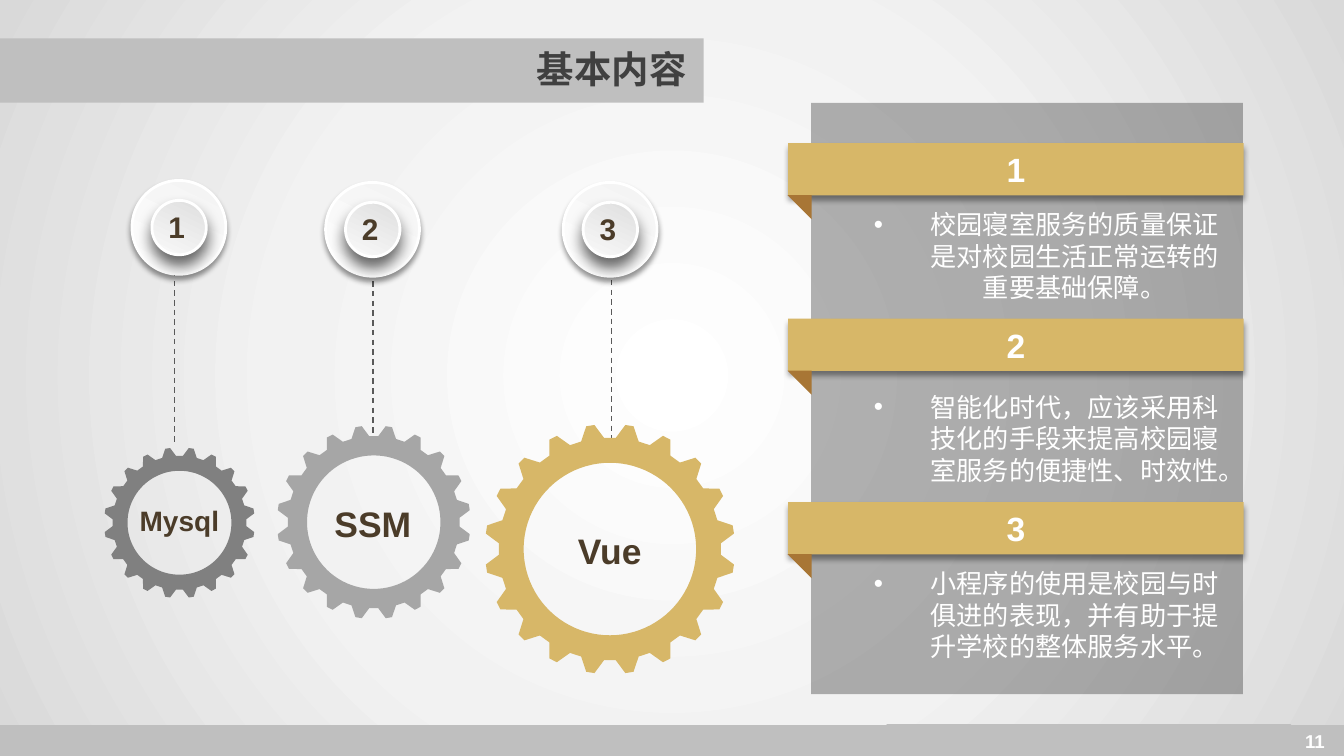
import math
from dataclasses import dataclass

from lxml import etree
from pptx import Presentation
from pptx import util as u
from pptx.dml.color import RGBColor
from pptx.enum import dml, shapes, text
from pptx.oxml import ns

WHITE = RGBColor(0xFF, 0xFF, 0xFF)
PALE = RGBColor(0xF2, 0xF2, 0xF2)
MIST = RGBColor(0xD9, 0xD9, 0xD9)
SILVER = RGBColor(0xBF, 0xBF, 0xBF)
ASH = RGBColor(0xA6, 0xA6, 0xA6)
GREY = RGBColor(0x80, 0x80, 0x80)
SLATE = RGBColor(0x59, 0x59, 0x59)
INK = RGBColor(0x40, 0x40, 0x40)
COAL = RGBColor(0x26, 0x26, 0x26)
BLACK = RGBColor(0, 0, 0)
GOLD = RGBColor(0xD7, 0xB7, 0x68)
BRONZE = RGBColor(0xA8, 0x76, 0x35)
BROWN = RGBColor(0x4B, 0x3C, 0x29)

LATIN = "Arial"
HAN = "Noto Sans CJK SC"
KIND = shapes.MSO_SHAPE
ALIGN = text.PP_ALIGN
TEETH = 20
SLIM = (7.2, 3.6)
WIDE = (13, 6.5)


@dataclass
class Box:
    x: float
    y: float
    w: float
    h: float


@dataclass
class Style:
    size: float
    color: RGBColor
    bold: bool = True
    face: str = LATIN
    align: ALIGN = ALIGN.CENTER


@dataclass
class Gear:
    x: float
    y: float
    r: float
    color: RGBColor
    word: str
    label: Box
    size: float


@dataclass
class Badge:
    x: float
    y: float
    stem: float
    top: float


@dataclass
class Point:
    y: float
    note_y: float
    note: str


GEARS = [
    Gear(128.2, 373.4, 53.8, GREY, "Mysql", Box(82.8, 352.8, 90.7, 37.4), 20),
    Gear(267, 373, 69.1, ASH, "SSM", Box(221, 352.1, 90.7, 43.9), 25.3),
    Gear(435.7, 392.2, 89.3, GOLD, "Vue", Box(390.2, 371.5, 90.7, 43.9), 25.3),
]
BADGES = [
    Badge(94.3, 128.9, 124.6, 186.5),
    Badge(232.6, 130.3, 266.4, 187),
    Badge(402.3, 130.3, 437, 186),
]
POINTS = [
    Point(102.2, 142.6, "校园寝室服务的质量保证是对校园生活正常运转的重要基础保障。"),
    Point(227.5, 272.9, "智能化时代，应该采用科技化的手段来提高校园寝室服务的便捷性、时效性。"),
    Point(358.6, 398.9, "小程序的使用是校园与时俱进的表现，并有助于提升学校的整体服务水平。"),
]

deck = Presentation()
deck.slide_width, deck.slide_height = u.Pt(960), u.Pt(540)
slide = deck.slides.add_slide(deck.slide_layouts[6])


def sub(node, tag: str, **attrs):
    return etree.SubElement(node, ns.qn(tag), {k: str(v) for k, v in attrs.items()})


def place(box: Box) -> tuple:
    return u.Pt(box.x), u.Pt(box.y), u.Pt(box.w), u.Pt(box.h)


def plain(shape, color: RGBColor) -> None:
    shape.fill.solid()
    shape.fill.fore_color.rgb = color
    shape.line.fill.background()
    shape.shadow.inherit = False


def draw(kind: KIND, box: Box, color: RGBColor):
    shape = slide.shapes.add_shape(kind, *place(box))
    plain(shape, color)
    return shape


def edge(shape, color: RGBColor) -> None:
    shape.line.color.rgb = color
    shape.line.width = u.Pt(2)


def blend(shape, stops: list[tuple[int, RGBColor]], radial: bool = False) -> None:
    shape.fill.gradient()
    grad = shape.fill._xPr.find(ns.qn("a:gradFill"))
    for node in list(grad):
        grad.remove(node)
    grad.set("rotWithShape", "1")
    bank = sub(grad, "a:gsLst")
    for spot, color in stops:
        sub(sub(bank, "a:gs", pos=spot * 1000), "a:srgbClr", val=color)
    if radial:
        sides = dict.fromkeys("ltrb", 50000)
        sub(sub(grad, "a:path", path="circle"), "a:fillToRect", **sides)
    else:
        sub(grad, "a:lin", ang=5400000, scaled=0)


def shade(shape, alpha: int, blur: float, dist: float) -> None:
    drop = sub(shape._element.spPr.find(ns.qn("a:effectLst")), "a:outerShdw",
               blurRad=u.Pt(blur), dist=u.Pt(dist), dir=5400000, algn="t", rotWithShape=0)
    sub(sub(drop, "a:srgbClr", val=BLACK), "a:alpha", val=alpha * 1000)


def write(frame, words: str, style: Style, bullet: bool = False) -> None:
    para = frame.paragraphs[0]
    para.text = words
    para.alignment = style.align
    props = para._p.get_or_add_pPr()
    if bullet:
        props.set("marL", str(u.Pt(40.3)))
        props.set("indent", str(u.Pt(-40.3)))
        sub(props, "a:buFont", typeface=LATIN)
        sub(props, "a:buChar", char="•")
    font = para.font
    font.size, font.bold, font.name = u.Pt(style.size), style.bold, style.face
    font.color.rgb = style.color
    sub(props.find(ns.qn("a:defRPr")), "a:ea", typeface=HAN)


def label(box: Box, words: str, style: Style, pad: tuple = WIDE, wrap: bool = True,
          bullet: bool = False, grow: bool = True):
    frame = slide.shapes.add_textbox(*place(box)).text_frame
    frame.word_wrap = wrap
    frame.margin_left = frame.margin_right = u.Pt(pad[0])
    frame.margin_top = frame.margin_bottom = u.Pt(pad[1])
    if grow:
        frame.auto_size = text.MSO_AUTO_SIZE.SHAPE_TO_FIT_TEXT
    write(frame, words, style, bullet)
    return frame


def spot(gear: Gear, turn: float, ratio: float) -> tuple[int, int]:
    a = math.radians(turn)
    r = gear.r * ratio
    return u.Pt(gear.x + r * math.sin(a)), u.Pt(gear.y - r * math.cos(a))


def draw_gear(gear: Gear) -> None:
    step = 360 / TEETH
    tooth = [(-3, 0.89), (3, 0.89), (7.1, 1), (10.9, 1)]
    rim = [spot(gear, k * step + a, r) for k in range(TEETH) for a, r in tooth]
    hole = [spot(gear, a, 0.69) for a in range(0, 360, 4)]
    path = slide.shapes.build_freeform(*rim[0])
    path.add_line_segments(rim[1:])
    path.move_to(*hole[0])
    path.add_line_segments(hole[1:])
    plain(path.convert_to_shape(), gear.color)
    label(gear.label, gear.word, Style(gear.size, BROWN))


def draw_stem(badge: Badge) -> None:
    x, y = u.Pt(badge.stem), u.Pt(badge.top)
    stem = slide.shapes.add_connector(shapes.MSO_CONNECTOR.STRAIGHT, x, y, x, y + u.Pt(129.6))
    stem.line.color.rgb = SLATE
    stem.line.width = u.Pt(1)
    stem.line.dash_style = dml.MSO_LINE.DASH
    sub(stem._element.spPr, "a:effectLst")


def draw_badge(badge: Badge, num: int) -> None:
    rings = [(0, 67, PALE, (40, 4, 3)), (14.2, 38.9, MIST, (60, 11, 7))]
    for inset, size, tone, cast in rings:
        ring = draw(KIND.OVAL, Box(badge.x + inset, badge.y + inset, size, size), tone)
        ring.rotation = 25.7
        blend(ring, [(0, tone), (100, WHITE)])
        edge(ring, WHITE)
        shade(ring, *cast)
    label(Box(badge.x + 18.9, badge.y + 16.6, 26.6, 33.1), str(num),
          Style(21.3, BROWN, align=ALIGN.LEFT), SLIM, wrap=False)


def draw_point(point: Point, num: int) -> None:
    band = draw(KIND.RECTANGLE, Box(563, point.y, 325.4, 37.4), GOLD)
    shade(band, 40, 4, 3)
    band.text_frame.vertical_anchor = text.MSO_ANCHOR.MIDDLE
    write(band.text_frame, str(num), Style(24, WHITE))
    draw(KIND.RIGHT_TRIANGLE, Box(562.5, point.y + 37.2, 17.2, 17.2), BRONZE).rotation = 180
    label(Box(607, point.note_y, 280.8, 80.6), point.note,
          Style(18.7, WHITE, False, HAN), bullet=True)


def main() -> None:
    back = draw(KIND.RECTANGLE, Box(0, -3.6, 960, 543.6), WHITE)
    blend(back, [(0, WHITE), (51, PALE), (100, MIST)], radial=True)
    for bar in (Box(0, 27.4, 502.6, 46), Box(0, 518, 653.8, 22), Box(918.7, 518, 41.3, 22)):
        draw(KIND.RECTANGLE, bar, SILVER)
    label(Box(918, 514.8, 42.5, 28.8), "11", Style(13.3, WHITE), wrap=False)
    title = label(Box(72, 23, 425.5, 52.6), "基本内容",
                  Style(26.7, INK, align=ALIGN.RIGHT), SLIM, grow=False)
    title.vertical_anchor = text.MSO_ANCHOR.MIDDLE
    for badge in BADGES:
        draw_stem(badge)
    panel = draw(KIND.RECTANGLE, Box(579.5, 73.5, 308.3, 422.4), COAL)
    tint = panel.fill._xPr.find(ns.qn("a:solidFill"))[0]
    sub(tint, "a:alpha", val=35000)
    for num, point in enumerate(POINTS, 1):
        draw_point(point, num)
    for gear in GEARS:
        draw_gear(gear)
    for num, badge in enumerate(BADGES, 1):
        draw_badge(badge, num)
    edge(draw(KIND.RECTANGLE, Box(633.6, 518.4, 288, 21.6), SILVER), SILVER)
    deck.save("out.pptx")


if __name__ == "__main__":
    main()
